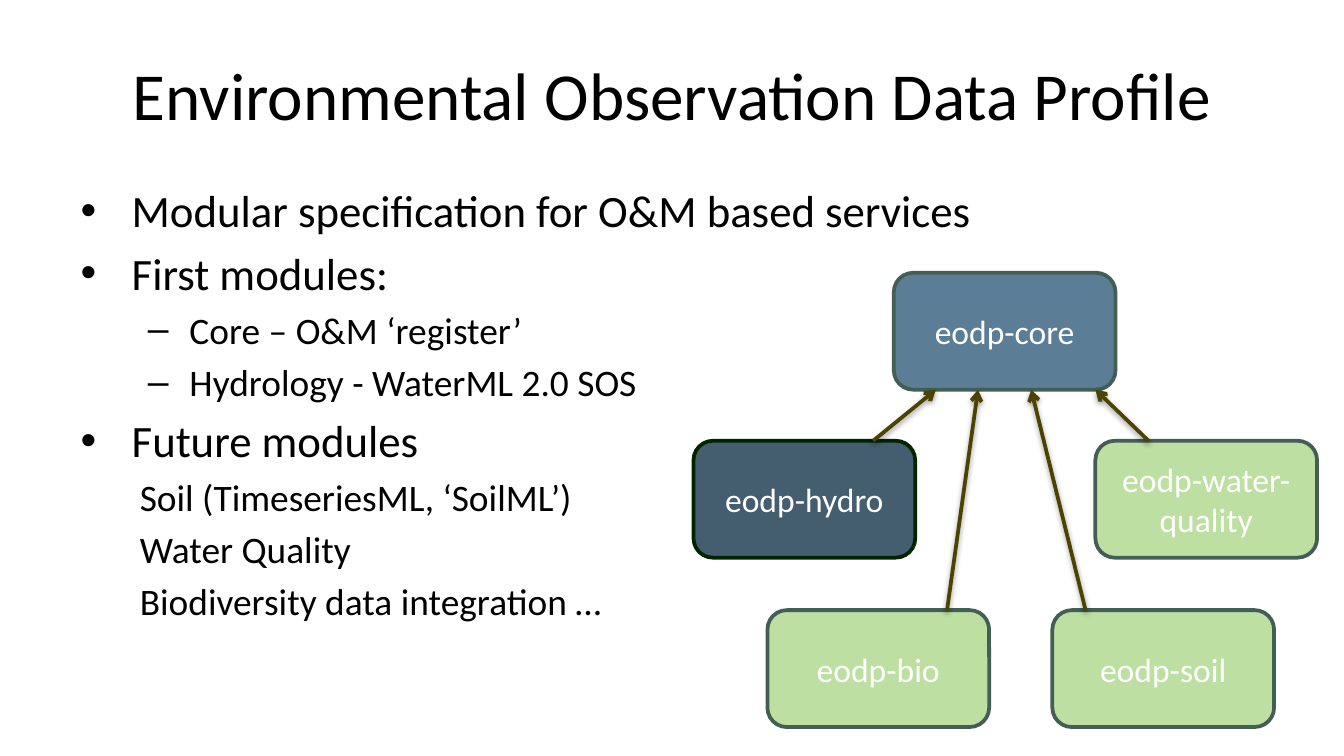
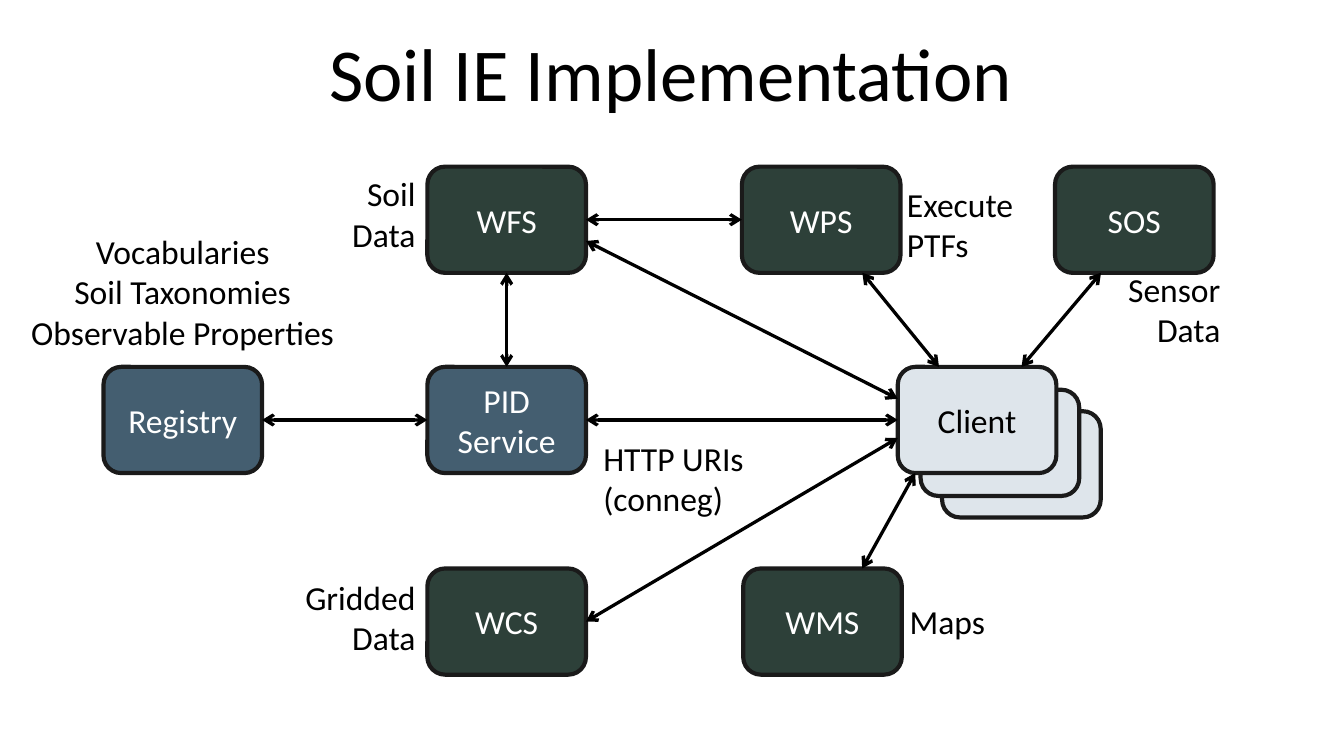
from collections import namedtuple

from lxml.etree import SubElement
from pptx import Presentation
from pptx.dml.color import RGBColor
from pptx.enum.shapes import MSO_CONNECTOR as Connector, MSO_SHAPE as Preset
from pptx.enum.text import MSO_ANCHOR as Anchor, MSO_AUTO_SIZE as AutoSize, PP_ALIGN as Align
from pptx.oxml.ns import qn
from pptx.util import Inches, Pt

FONT = "Calibri"
BLACK, WHITE = "000000", "FFFFFF"
SLATE, STEEL, GREEN = "445E70", "5B7E96", "BDE0A2"
FOREST, PALE, CHARCOAL = "2D4039", "DEE5EB", "1A1A1A"
TEAL, DARK_GREEN, OLIVE = "435E54", "002300", "4D4300"

Box = namedtuple("Box", "left top width height")


def color(value):
    return RGBColor.from_string(value)


def inside(area, left, top, width, height):
    return Box(area.left + left, area.top + top, width, height)


def lengths(box):
    return [Inches(value) for value in box]


def point(box, across, down):
    return Inches(box.left + across * box.width), Inches(box.top + down * box.height)


def add_run(paragraph, text, size, ink=BLACK):
    run = paragraph.add_run()
    run.text = text
    run.font.name = FONT
    run.font.size = Pt(size)
    run.font.color.rgb = color(ink)


def set_bullet(paragraph, margin, indent, mark):
    properties = paragraph._p.get_or_add_pPr()
    properties.set("marL", str(Inches(margin)))
    properties.set("indent", str(Inches(indent)))
    if mark:
        SubElement(properties, qn("a:buChar"), char=mark)
    else:
        SubElement(properties, qn("a:buNone"))


def place(shape, box):
    shape.left, shape.top, shape.width, shape.height = lengths(box)


def add_title(slide, box, text, size):
    title = slide.shapes.title
    place(title, box)
    frame = title.text_frame
    frame.auto_size = AutoSize.NONE
    frame.vertical_anchor = Anchor.MIDDLE
    paragraph = frame.paragraphs[0]
    paragraph.alignment = Align.CENTER
    add_run(paragraph, text, size)


def add_list(slide, box, items):
    styles = {
        "main": (0, 0.38, -0.38, "•", 24),
        "dash": (1, 0.81, -0.31, "–", 20),
        "plain": (1, 0.44, 0, None, 20),
    }
    body = slide.placeholders[1]
    place(body, box)
    frame = body.text_frame
    frame.auto_size = AutoSize.NONE
    for index, (style, text) in enumerate(items):
        level, margin, indent, mark, size = styles[style]
        paragraph = frame.add_paragraph() if index else frame.paragraphs[0]
        paragraph.level = level
        set_bullet(paragraph, margin, indent, mark)
        paragraph.space_before = Pt(0.2 * size if index else 0)
        add_run(paragraph, text, size)


def add_node(slide, box, text, fill, border, width, ink=WHITE):
    shape = slide.shapes.add_shape(Preset.ROUNDED_RECTANGLE, *lengths(box))
    shape.shadow.inherit = False
    shape.fill.solid()
    shape.fill.fore_color.rgb = color(fill)
    shape.line.color.rgb = color(border)
    shape.line.width = Pt(width)
    if text:
        frame = shape.text_frame
        frame.word_wrap = True
        frame.vertical_anchor = Anchor.MIDDLE
        paragraph = frame.paragraphs[0]
        paragraph.alignment = Align.CENTER
        add_run(paragraph, text, 18, ink)


def add_arrow(slide, start, end, ink, width, two_way=False, shadow=False):
    connector = slide.shapes.add_connector(Connector.STRAIGHT, *start, *end)
    connector.line.color.rgb = color(ink)
    connector.line.width = Pt(width)
    line = connector.line._get_or_add_ln()
    for tag in ("a:headEnd", "a:tailEnd") if two_way else ("a:tailEnd",):
        SubElement(line, qn(tag), type="arrow")
    effects = SubElement(connector._element.spPr, qn("a:effectLst"))
    if shadow:
        outer = SubElement(effects, qn("a:outerShdw"), blurRad=str(Pt(3.1)),
                           dist=str(Pt(1.6)), dir="5400000", rotWithShape="0")
        tint = SubElement(outer, qn("a:srgbClr"), val=BLACK)
        SubElement(tint, qn("a:alpha"), val="38000")


def add_label(slide, box, lines, align, wrap=True):
    frame = slide.shapes.add_textbox(*lengths(box)).text_frame
    frame.word_wrap = wrap
    frame.auto_size = AutoSize.SHAPE_TO_FIT_TEXT
    for index, text in enumerate(lines):
        paragraph = frame.add_paragraph() if index else frame.paragraphs[0]
        paragraph.alignment = align
        add_run(paragraph, text, 18)


def module_tree(slide, area):
    width, height = 1.65, 0.87
    rows = (0, 1.25, 2.51)
    modules = [
        ("eodp-core", 1.49, 0, STEEL, TEAL),
        ("eodp-hydro", 0, 1, SLATE, DARK_GREEN),
        ("eodp-water-quality", 2.99, 1, GREEN, TEAL),
        ("eodp-bio", 0.55, 2, GREEN, TEAL),
        ("eodp-soil", 2.67, 2, GREEN, TEAL),
    ]
    boxes = {}
    for name, left, row, fill, border in modules:
        boxes[name] = inside(area, left, rows[row], width, height)
        add_node(slide, boxes[name], name, fill, border, 2)
    links = [
        ("eodp-hydro", 0.81, 0.19),
        ("eodp-bio", 0.81, 0.38),
        ("eodp-water-quality", 0.24, 0.91),
        ("eodp-soil", 0.15, 0.62),
    ]
    for name, leaves, arrives in links:
        add_arrow(slide, point(boxes[name], leaves, 0),
                  point(boxes["eodp-core"], arrives, 1), OLIVE, 2, shadow=True)


def service_map(slide, area):
    width, height = 1.18, 0.79
    rows = (0, 1.49, 2.99)
    client = inside(area, 5.91, rows[1], width, height)
    for shift in (0.33, 0.17):
        behind = inside(client, shift, shift, width, height)
        add_node(slide, behind, "", PALE, CHARCOAL, 2.25)

    services = [
        ("SOS", 7.08, 0, FOREST),
        ("WFS", 2.41, 0, FOREST),
        ("WCS", 2.41, 2, FOREST),
        ("WMS", 4.76, 2, FOREST),
        ("PID Service", 2.41, 1, SLATE),
        ("Registry", 0, 1, SLATE),
        ("WPS", 4.75, 0, FOREST),
    ]
    boxes = {"Client": client}
    for name, left, row, fill in services:
        boxes[name] = inside(area, left, rows[row], width, height)
        add_node(slide, boxes[name], name, fill, CHARCOAL, 2.25)
    add_node(slide, client, "Client", PALE, CHARCOAL, 2.25, BLACK)

    links = [
        ("PID Service", 0, 0.5, "Registry", 1, 0.5),
        ("PID Service", 0.5, 0, "WFS", 0.5, 1),
        ("WPS", 0, 0.5, "WFS", 1, 0.5),
        ("Client", 0, 0.5, "PID Service", 1, 0.5),
        ("Client", 0, 0.3, "WFS", 1, 0.7),
        ("Client", 0.26, 0, "WPS", 0.76, 1),
        ("Client", 0.78, 0, "SOS", 0.29, 1),
        ("Client", 0, 0.67, "WCS", 1, 0.5),
        ("Client", 0.11, 1, "WMS", 0.75, 0),
    ]
    for source, x1, y1, target, x2, y2 in links:
        add_arrow(slide, point(boxes[source], x1, y1),
                  point(boxes[target], x2, y2), BLACK, 1.75, two_way=True)

    labels = [
        ((5.9, 3.18, 0.77, 0.4), ["Maps"], Align.LEFT, False),
        ((7.51, 0.71, 0.9, 0.71), ["Sensor", "Data"], Align.RIGHT, False),
        ((1.63, 0, 0.79, 0.71), ["Soil Data"], Align.RIGHT, True),
        ((5.88, 0.08, 1.12, 0.71), ["Execute PTFs"], Align.LEFT, True),
        ((1.32, 3, 1.1, 0.71), ["Gridded Data"], Align.RIGHT, True),
        ((3.62, 1.97, 1.32, 0.71), ["HTTP URIs", "(conneg)"], Align.LEFT, True),
        ((-0.71, 0.43, 2.6, 1.01),
         ["Vocabularies", "Soil Taxonomies", "Observable Properties"], Align.CENTER, True),
    ]
    for offsets, lines, align, wrap in labels:
        add_label(slide, inside(area, *offsets), lines, align, wrap)


def profile_slide(presentation):
    slide = presentation.slides.add_slide(presentation.slide_layouts[1])
    add_title(slide, Box(0.5, 0.23, 9, 0.94), "Environmental Observation Data Profile", 36)
    add_list(slide, Box(0.5, 1.31, 9, 3.71), [
        ("main", "Modular specification for O&M based services"),
        ("main", "First modules:"),
        ("dash", "Core – O&M ‘register’"),
        ("dash", "Hydrology - WaterML 2.0 SOS"),
        ("main", "Future modules"),
        ("plain", "Soil (TimeseriesML, ‘SoilML’)"),
        ("plain", "Water Quality"),
        ("plain", "Biodiversity data integration …"),
    ])
    module_tree(slide, Box(5.16, 2.03, 4.64, 3.38))


def implementation_slide(presentation):
    slide = presentation.slides.add_slide(presentation.slide_layouts[5])
    add_title(slide, Box(0.49, 0.06, 9, 0.94), "Soil IE Implementation", 40)
    service_map(slide, Box(0.77, 1.24, 8.26, 3.78))


def main():
    presentation = Presentation()
    presentation.slide_width = Inches(10)
    presentation.slide_height = Inches(10 * 9 / 16)
    profile_slide(presentation)
    implementation_slide(presentation)
    presentation.save("out.pptx")


if __name__ == "__main__":
    main()
